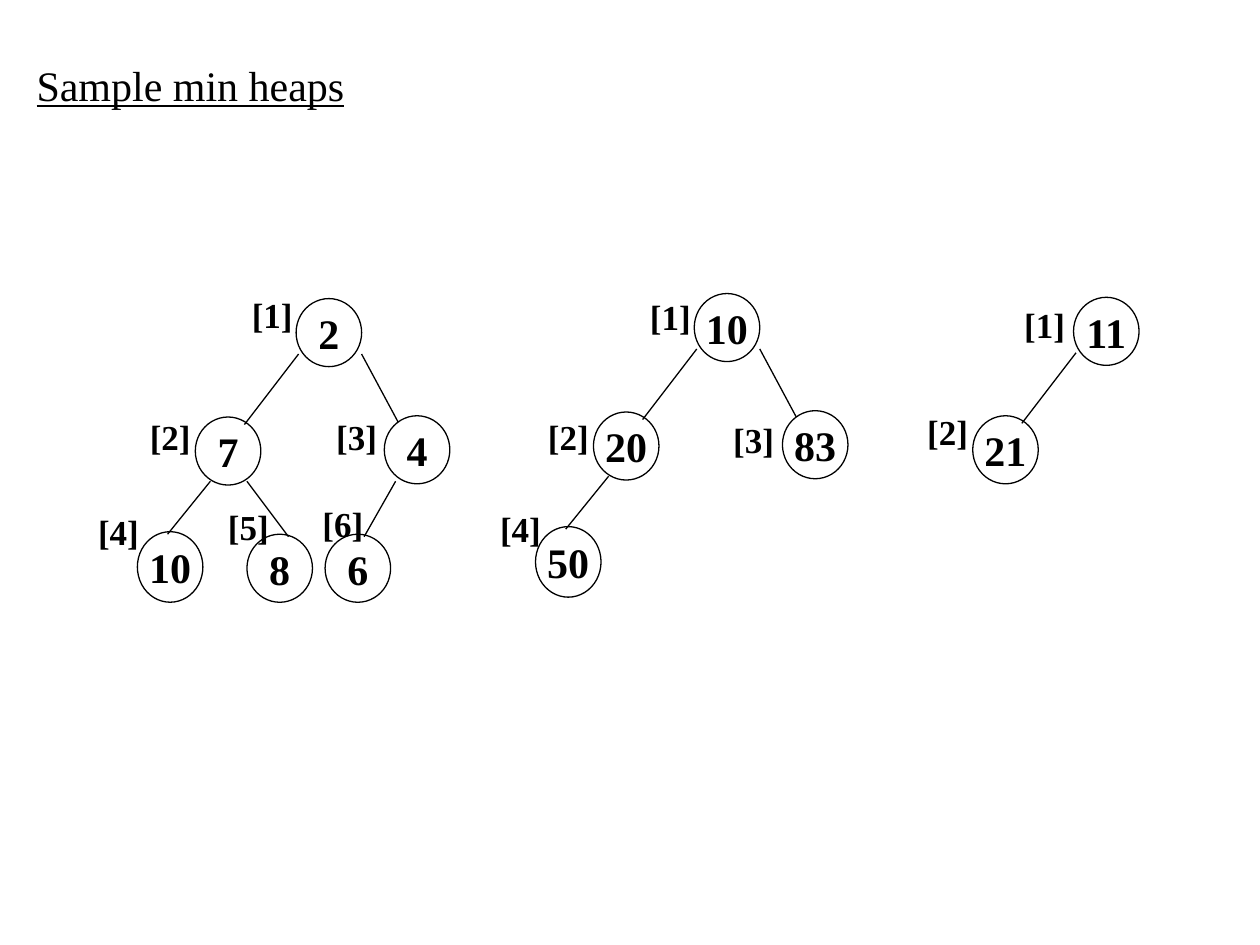
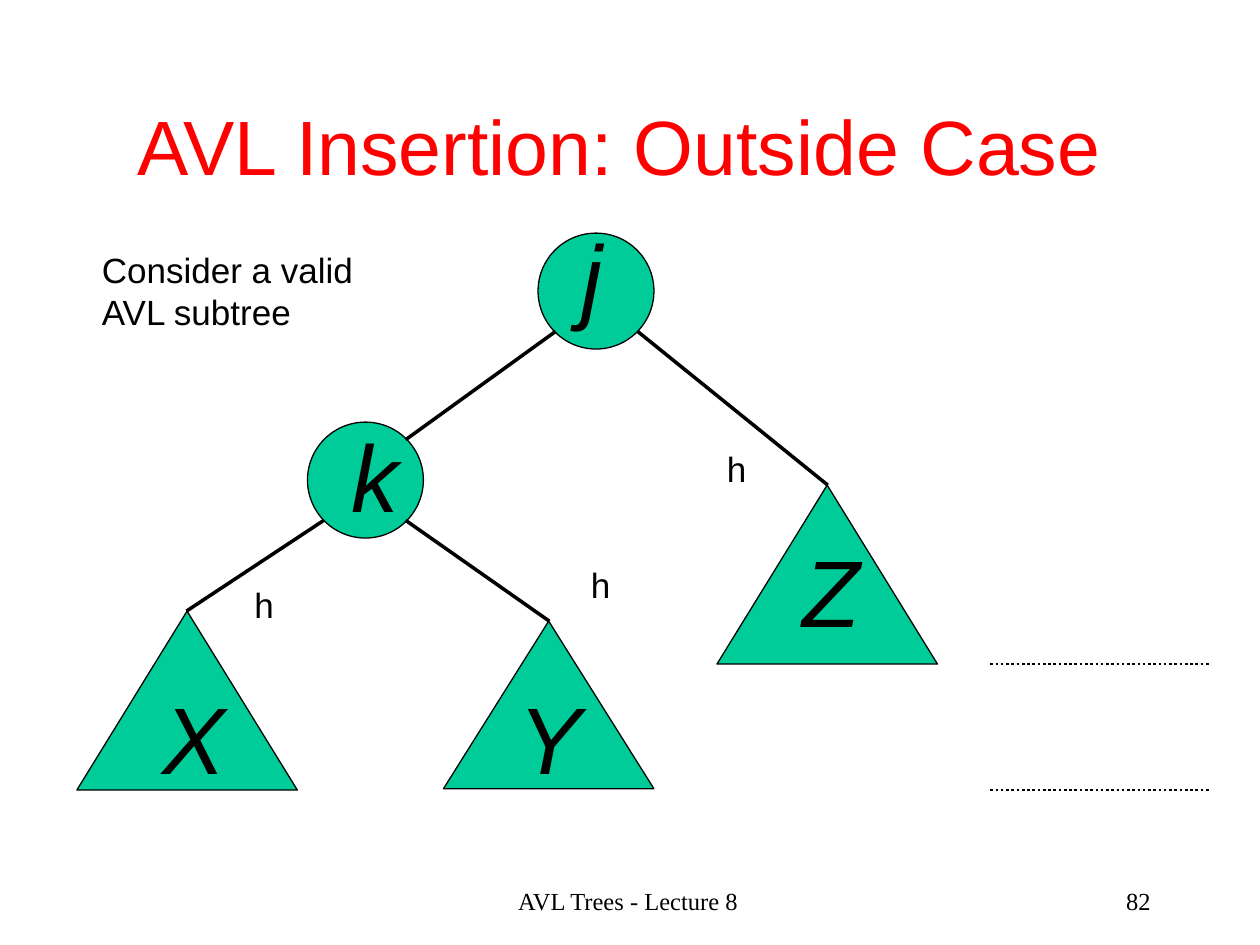
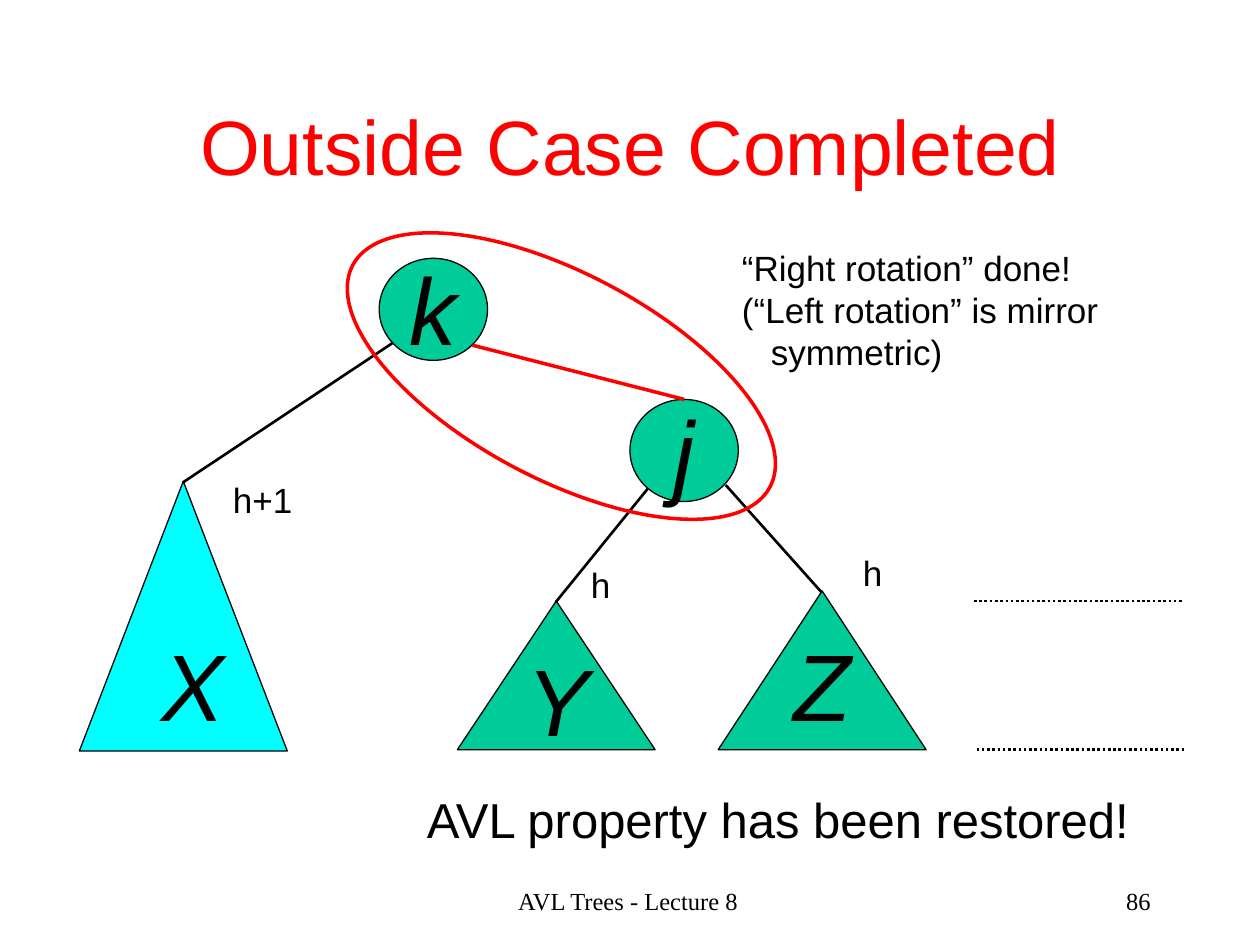
from lxml import etree
from pptx import Presentation
from pptx import util as u
from pptx.dml.color import RGBColor
from pptx.enum import dml, shapes, text
from pptx.oxml import ns

BLACK = RGBColor(0x00, 0x00, 0x00)
RED = RGBColor(0xFF, 0x00, 0x00)
GREEN = RGBColor(0x00, 0xCC, 0x99)
CYAN = RGBColor(0x00, 0xFF, 0xFF)

SERIF, SANS = "Times New Roman", "Arial"
LEFT, CENTER, RIGHT = text.PP_ALIGN.LEFT, text.PP_ALIGN.CENTER, text.PP_ALIGN.RIGHT
TOP, MIDDLE = text.MSO_ANCHOR.TOP, text.MSO_ANCHOR.MIDDLE
OVAL, TRIANGLE = shapes.MSO_SHAPE.OVAL, shapes.MSO_SHAPE.ISOSCELES_TRIANGLE

HEADING = {"name": SERIF, "size": 24, "underline": True}
AVL_TITLE = {"name": SANS, "size": 44, "color": RED}
HEAP_KEY = {"name": SERIF, "size": 24, "bold": True}
HEAP_INDEX = {"name": SERIF, "size": 20, "bold": True}
NOTE = {"name": SANS, "size": 20}
CONCLUSION = {"name": SANS, "size": 28}
LETTER = {"name": SANS, "size": 54, "italic": True}
FOOTER = {"name": SERIF, "size": 14}

NODE_OFFSET = {1: (0, 0), 2: (-0.8, 0.94), 3: (0.7, 0.93),
               4: (-1.26, 1.85), 5: (-0.39, 1.87), 6: (0.23, 1.87)}
EDGE_OFFSET = {2: (0.02, 0.44, 0.39, 0.06), 3: (0.52, 0.44, 0.11, 0.05),
               4: (0.12, 0.51, 0.24, 0.02), 5: (0.41, 0.51, 0.33, 0.02),
               6: (0.09, 0.52, 0.31, 0.02)}


def inches(*values):
    return [u.Inches(v) for v in values]


class Deck:
    def __init__(self):
        self.prs = Presentation()
        self.prs.slide_width, self.prs.slide_height = inches(10, 7.5)
        self.s = None

    def slide(self, title, box, fmt, align=CENTER, anchor=MIDDLE, wrap=True):
        self.s = self.prs.slides.add_slide(self.prs.slide_layouts[5])
        sp = self.s.shapes.title
        sp.left, sp.top, sp.width, sp.height = inches(*box)
        self.fill_text(sp.text_frame, [title], fmt, align, anchor, wrap)

    def avl_slide(self, title, number):
        self.slide(title, (0.73, 0.71, 8.55, 0.88), AVL_TITLE)
        self.text("AVL Trees - Lecture 8", (3.4, 6.98, 3.17, 0.5), FOOTER, CENTER, True)
        self.text(number, (7.15, 6.98, 2.08, 0.5), FOOTER, RIGHT, True)

    def fill_text(self, tf, lines, fmt, align=LEFT, anchor=TOP, wrap=False):
        frame = {"word_wrap": wrap, "auto_size": text.MSO_AUTO_SIZE.NONE,
                 "vertical_anchor": anchor}
        for key, value in frame.items():
            setattr(tf, key, value)
        for i, line in enumerate(lines):
            p = tf.add_paragraph() if i else tf.paragraphs[0]
            p.alignment = align
            r = p.add_run()
            r.text = line
            r.font.color.rgb = fmt.get("color", BLACK)
            for key, value in fmt.items():
                if key != "color":
                    setattr(r.font, key, u.Pt(value) if key == "size" else value)

    def text(self, content, box, fmt, align=LEFT, wrap=False):
        sp = self.s.shapes.add_textbox(*inches(*box))
        self.fill_text(sp.text_frame, content.split("\n"), fmt, align, TOP, wrap)
        return sp

    def shape(self, kind, box, fill=None, line=BLACK, width=0.75, label="", fmt=LETTER):
        sp = self.s.shapes.add_shape(kind, *inches(*box))
        sp.shadow.inherit = False
        if fill is None:
            sp.fill.background()
        else:
            sp.fill.solid()
            sp.fill.fore_color.rgb = fill
        sp.line.color.rgb = line
        sp.line.width = u.Pt(width)
        if label:
            self.fill_text(sp.text_frame, [label], fmt, CENTER, MIDDLE)
        return sp

    def line(self, ends, width, color=BLACK, dash=None):
        c = self.s.shapes.add_connector(shapes.MSO_CONNECTOR.STRAIGHT, *inches(*ends))
        c.line.color.rgb = color
        c.line.width = u.Pt(width)
        if dash:
            c.line.dash_style = dash
        etree.SubElement(c._element.spPr, ns.qn("a:effectLst"))

    def level(self, x, y, length):
        self.line((x, y, x + length, y), 1.5, dash=dml.MSO_LINE.ROUND_DOT)

    def letter(self, char, x, y, width):
        self.text(char, (x, y, width, 1), LETTER, wrap=True)

    def height(self, label, x, y, width=0.35):
        self.text(label, (x, y, width, 0.44), NOTE)

    def heap(self, x, y, keys, indexes):
        spots = {i: (x + dx, y + dy) for i, (dx, dy) in NODE_OFFSET.items()}
        for i, key in keys.items():
            box = (*spots[i], 0.52, 0.56 if i == 4 else 0.54)
            self.shape(OVAL, box, label=key, fmt=HEAP_KEY)
            if i > 1:
                (px, py), (cx, cy) = spots[i // 2], spots[i]
                ax, ay, bx, by = EDGE_OFFSET[i]
                self.line((px + ax, py + ay, cx + bx, cy + by), 0.75)
        for i, spot in indexes.items():
            self.text(f"[{i}]", (*spot, 0.52, 0.43), HEAP_INDEX)


def min_heaps(deck):
    deck.slide("Sample min heaps", (0.19, 0.42, 2.67, 0.5), HEADING, LEFT, TOP, False)
    deck.heap(2.35, 2.37, {1: "2", 2: "7", 3: "4", 4: "10", 5: "8", 6: "6"},
              {1: (1.9, 2.28), 2: (1.09, 3.25), 3: (2.57, 3.25),
               4: (0.68, 4), 5: (1.71, 3.96), 6: (2.46, 3.94)})
    deck.heap(5.51, 2.33, {1: "10", 2: "20", 3: "83", 4: "50"},
              {1: (5.06, 2.3), 2: (4.25, 3.25), 3: (5.72, 3.27), 4: (3.87, 3.98)})
    deck.heap(8.52, 2.36, {1: "11", 2: "21"}, {1: (8.03, 2.36), 2: (7.26, 3.21)})


def outside_case(deck):
    deck.avl_slide("AVL Insertion: Outside Case ", "82")
    for x, y in ((4.27, 1.85), (2.44, 3.35)):
        deck.shape(OVAL, (x, y, 0.92, 0.92), GREEN)
    for box in ((0.61, 4.85, 1.75, 1.42), (3.52, 4.93, 1.67, 1.33), (5.69, 3.85, 1.75, 1.42)):
        deck.shape(TRIANGLE, box, GREEN)
    for char, x, y in (("j", 4.52, 1.68), ("k", 2.69, 3.27), ("X", 1.19, 5.35),
                       ("Y", 4.02, 5.35), ("Z", 6.27, 4.18)):
        deck.letter(char, x, y, 0.56)
    for edge in ((4.41, 2.63, 3.22, 3.49), (2.57, 4.13, 1.48, 4.85),
                 (3.22, 4.13, 4.36, 4.93), (5.06, 2.63, 6.57, 3.85)):
        deck.line(edge, 2)
    for y in (5.27, 6.27):
        deck.level(7.86, y, 1.75)
    deck.text("Consider a valid\nAVL subtree", (0.71, 1.92, 2.59, 0.9), NOTE)
    for x, y in ((5.67, 3.5), (1.92, 4.58), (4.59, 4.42)):
        deck.height("h", x, y)


def outside_case_completed(deck):
    deck.avl_slide("Outside Case Completed", "86")
    deck.shape(OVAL, (5, 3.17, 0.86, 0.81), GREEN, label="j")
    deck.shape(OVAL, (3.01, 2.05, 0.86, 0.81), GREEN)
    for box, fill in (((0.63, 3.82, 1.65, 2.14), CYAN), ((3.63, 4.77, 1.57, 1.18), GREEN),
                      ((5.7, 4.69, 1.65, 1.26), GREEN)):
        deck.shape(TRIANGLE, box, fill)
    for char, x, y in (("k", 3.15, 1.94), ("X", 1.18, 4.93), ("Y", 4.08, 5.05), ("Z", 6.2, 4.93)):
        deck.letter(char, x, y, 0.53)
    for x, y in ((7.73, 4.77), (7.75, 5.95)):
        deck.level(x, y, 1.65)
    note = deck.text("“Right rotation” done!\n(“Left rotation” is mirror\nsymmetric)",
                     (5.79, 1.91, 3.59, 1.3), NOTE)
    note.text_frame.paragraphs[2]._p.get_or_add_pPr().set("marL", str(u.Inches(0.23)))
    for edge in ((1.45, 3.83, 3.12, 2.72), (5.14, 3.88, 4.41, 4.78), (5.76, 3.85, 6.52, 4.7)):
        deck.line(edge, 1.5)
    deck.text("AVL property has been restored!", (3.29, 6.22, 5.83, 0.57), CONCLUSION)
    deck.line((3.75, 2.74, 5.43, 3.17), 2, RED)
    rotated_pair = deck.shape(OVAL, (2.58, 2.17, 3.75, 1.63), line=RED, width=2)
    rotated_pair.rotation = 28
    deck.height("h", 6.75, 4.33)
    deck.height("h+1", 1.75, 3.75, 0.67)
    deck.height("h", 4.59, 4.42)


def main():
    deck = Deck()
    min_heaps(deck)
    outside_case(deck)
    outside_case_completed(deck)
    deck.prs.save("out.pptx")


if __name__ == "__main__":
    main()
